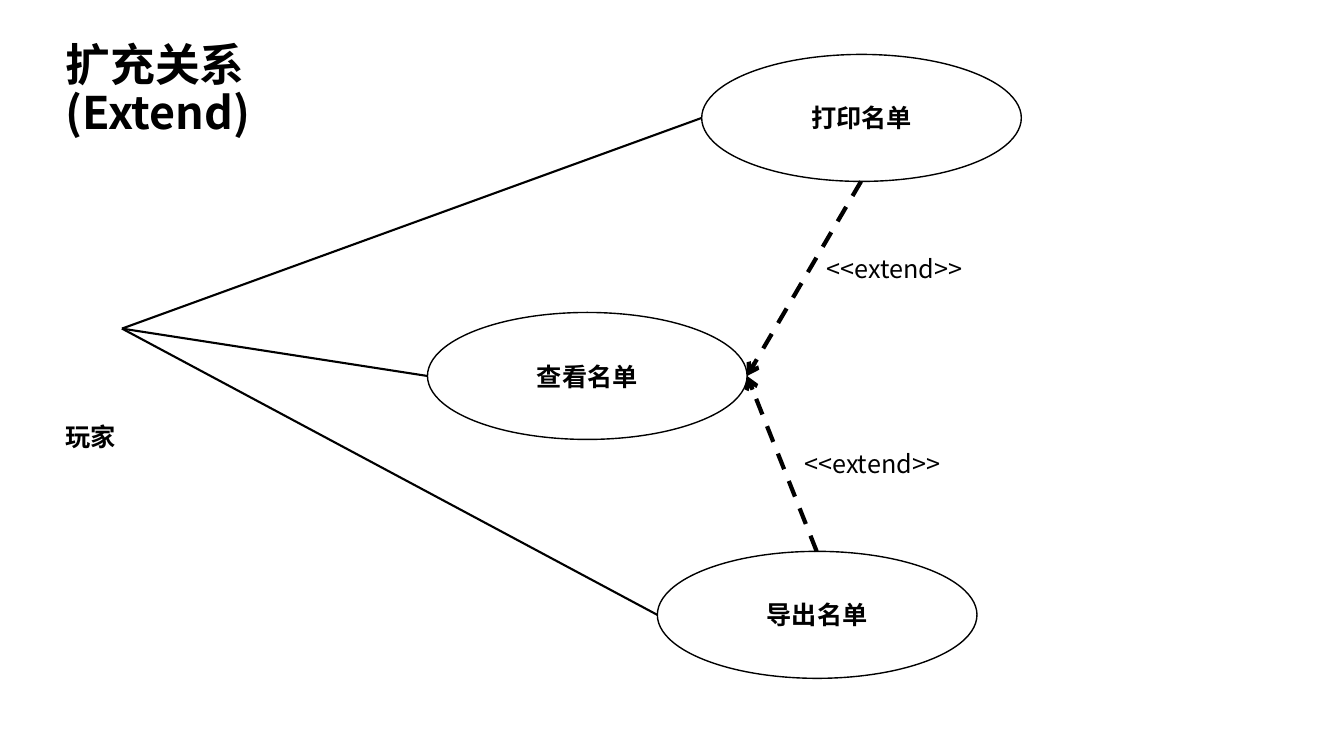
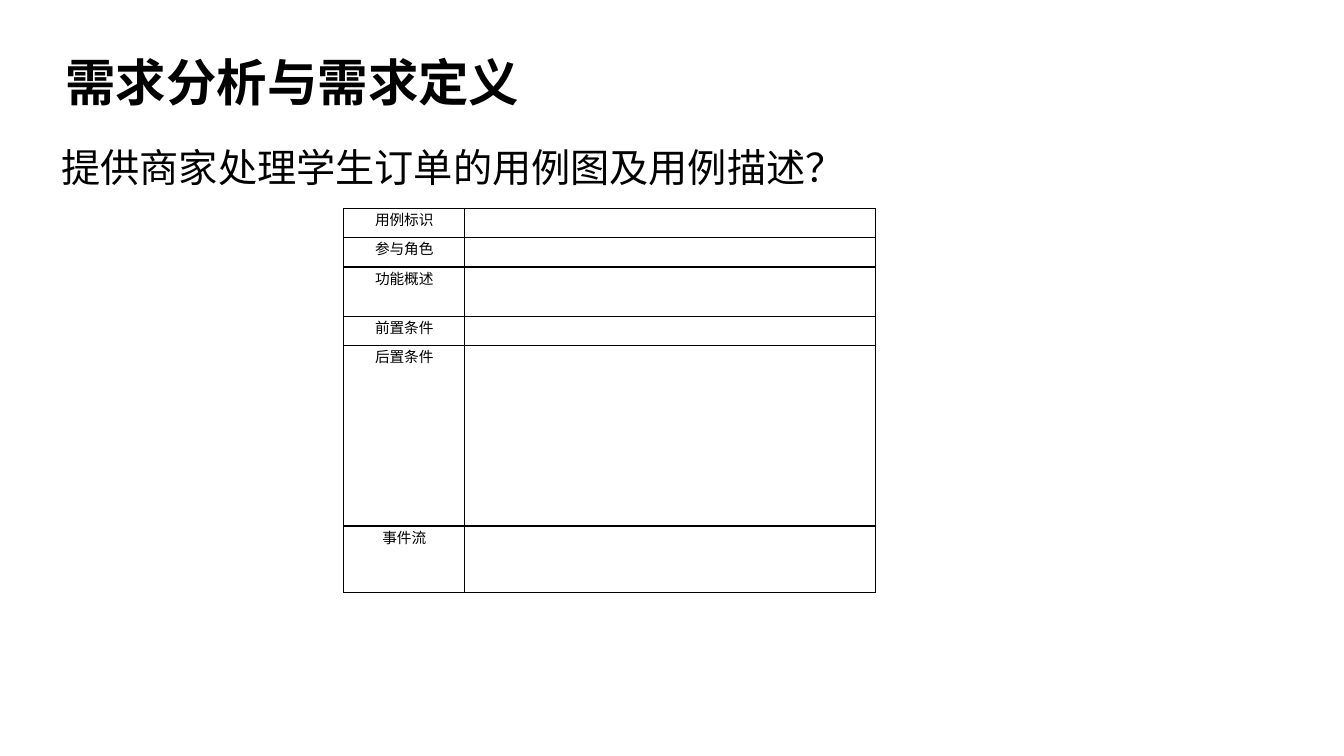
"""Build two slides: a use case diagram and a use case table."""
from lxml import etree
from pptx import Presentation
from pptx.dml.color import RGBColor
from pptx.enum import dml, shapes, text
from pptx.oxml import ns
from pptx.util import Emu, Pt

PX = 9144
BLACK = RGBColor(0, 0, 0)
WHITE = RGBColor(255, 255, 255)
CJK = "Noto Sans CJK SC"
LATIN = "Arial"

HEAD = {"alignment": text.PP_ALIGN.LEFT, "line_spacing": 0.9,
        "space_before": Pt(0), "space_after": Pt(12)}
BODY = {"alignment": text.PP_ALIGN.JUSTIFY, "line_spacing": 1.5,
        "space_before": Pt(0)}
MID = {"alignment": text.PP_ALIGN.CENTER}
CELL = {**MID, "space_after": Pt(2.4)}
BOLD = {"name": CJK, "size": Pt(18), "bold": True}
PLAIN = {**BOLD, "bold": False}
SMALL = {"name": "Times New Roman", "size": Pt(10.5), "bold": False}

OVAL = (317, 126)
CASES = {"打印名单": (696, 54), "查看名单": (424, 310), "导出名单": (652, 547)}
BASE = "查看名单"
ACTOR = (121, 326)
LABELS = [("玩家", (55, 413, 71, 40), BOLD),
          ("<<extend>>", (810, 246, 161, 40), PLAIN),
          ("<<extend>>", (788, 440, 161, 40), PLAIN)]

TASK = "提供商家处理学生订单的用例图及用例描述？"
COLS = [120, 407]
ROWS = [("用例标识", 29), ("参与角色", 29), ("功能概述", 49),
        ("前置条件", 29), ("后置条件", 179), ("事件流", 66)]


def px(*vals):
    return [Emu(v * PX) for v in vals]


def apply(item, vals):
    for key, val in vals.items():
        setattr(item, key, val)


def write(frame, words, font, para):
    line = frame.paragraphs[0]
    apply(line, para)
    run = line.add_run()
    run.text = words
    apply(run.font, font)
    run.font.color.rgb = BLACK
    face = etree.SubElement(run._r.get_or_add_rPr(), ns.qn("a:ea"))
    face.set("typeface", CJK)


def fill_holder(holder, box, words, font, para, anchor):
    apply(holder, dict(zip(("left", "top", "width", "height"), px(*box))))
    apply(holder.text_frame, {"auto_size": text.MSO_AUTO_SIZE.NONE,
                              "word_wrap": True, "vertical_anchor": anchor})
    write(holder.text_frame, words, font, para)


def add_oval(slide, words, spot):
    oval = slide.shapes.add_shape(shapes.MSO_SHAPE.OVAL, *px(*spot, *OVAL))
    oval.shadow.inherit = False
    oval.fill.solid()
    oval.fill.fore_color.rgb = WHITE
    oval.line.color.rgb = BLACK
    oval.line.width = Pt(1)
    oval.text_frame.vertical_anchor = text.MSO_ANCHOR.MIDDLE
    write(oval.text_frame, words, BOLD, MID)


def add_line(slide, start, end, width, arrow=False):
    link = slide.shapes.add_connector(
        shapes.MSO_CONNECTOR.STRAIGHT, *px(*start, *end))
    link.line.color.rgb = BLACK
    link.line.width = Pt(width)
    if arrow:
        link.line.dash_style = dml.MSO_LINE.DASH
        etree.SubElement(link.line._ln, ns.qn("a:tailEnd"), type="arrow")
    etree.SubElement(link._element.spPr, ns.qn("a:effectLst"))


def add_label(slide, words, box, font):
    label = slide.shapes.add_textbox(*px(*box))
    apply(label.text_frame, {"word_wrap": False,
                             "auto_size": text.MSO_AUTO_SIZE.SHAPE_TO_FIT_TEXT})
    write(label.text_frame, words, font, {})


def side(name, across, down):
    (left, top), (wide, high) = CASES[name], OVAL
    return round(left + wide * across), round(top + high * down)


def frame_cell(cell):
    cell.fill.background()
    props = cell._tc.get_or_add_tcPr()
    for spot, edge in enumerate("LRTB"):
        line = etree.Element(ns.qn("a:ln" + edge), w=str(Pt(1)))
        fill = etree.SubElement(line, ns.qn("a:solidFill"))
        etree.SubElement(fill, ns.qn("a:srgbClr"), val=str(BLACK))
        props.insert(spot, line)


def add_grid(slide):
    high = sum(row[1] for row in ROWS)
    grid = slide.shapes.add_table(
        len(ROWS), len(COLS), *px(341, 207, sum(COLS), high)).table
    apply(grid, {"first_row": False, "horz_banding": False})
    for col, wide in zip(grid.columns, px(*COLS)):
        col.width = wide
    for row, (name, high) in zip(grid.rows, ROWS):
        row.height = px(high)[0]
        key, blank = row.cells
        for cell in (key, blank):
            frame_cell(cell)
            apply(cell, dict(zip(("margin_left", "margin_top", "margin_right",
                                  "margin_bottom"), px(7, 0, 7, 0))))
        write(key.text_frame, name, SMALL, CELL)
        etree.SubElement(blank.text_frame.paragraphs[0]._p,
                         ns.qn("a:endParaRPr"), sz="1050")


def draw_cases(deck):
    slide = deck.slides.add_slide(deck.slide_layouts[5])
    fill_holder(slide.shapes.title, (55, 0, 360, 180), "扩充关系 (Extend)",
                {**BOLD, "size": Pt(32)}, HEAD, text.MSO_ANCHOR.MIDDLE)
    for name, spot in CASES.items():
        add_oval(slide, name, spot)
        add_line(slide, ACTOR, side(name, 0, 0.5), 1.5)
    for name, down in (("打印名单", 1), ("导出名单", 0)):
        add_line(slide, side(name, 0.5, down), side(BASE, 1, 0.5), 3, True)
    for label in LABELS:
        add_label(slide, *label)


def draw_table(deck):
    slide = deck.slides.add_slide(deck.slide_layouts[1])
    fill_holder(slide.shapes.title, (55, 16, 999, 101), "需求分析与需求定义",
                {"name": LATIN, "size": Pt(36), "bold": True}, HEAD,
                text.MSO_ANCHOR.BOTTOM)
    body = slide.placeholders[1]
    props = body.text_frame.paragraphs[0]._p.get_or_add_pPr()
    apply_none = {"marL": "0", "indent": "0"}
    for key, val in apply_none.items():
        props.set(key, val)
    etree.SubElement(props, ns.qn("a:buNone"))
    fill_holder(body, (51, 114, 1271, 583), TASK,
                {"name": LATIN, "size": Pt(28)}, BODY, text.MSO_ANCHOR.TOP)
    add_grid(slide)


def main():
    deck = Presentation()
    deck.slide_width, deck.slide_height = px(1333, 750)
    draw_cases(deck)
    draw_table(deck)
    deck.save("out.pptx")


if __name__ == "__main__":
    main()
